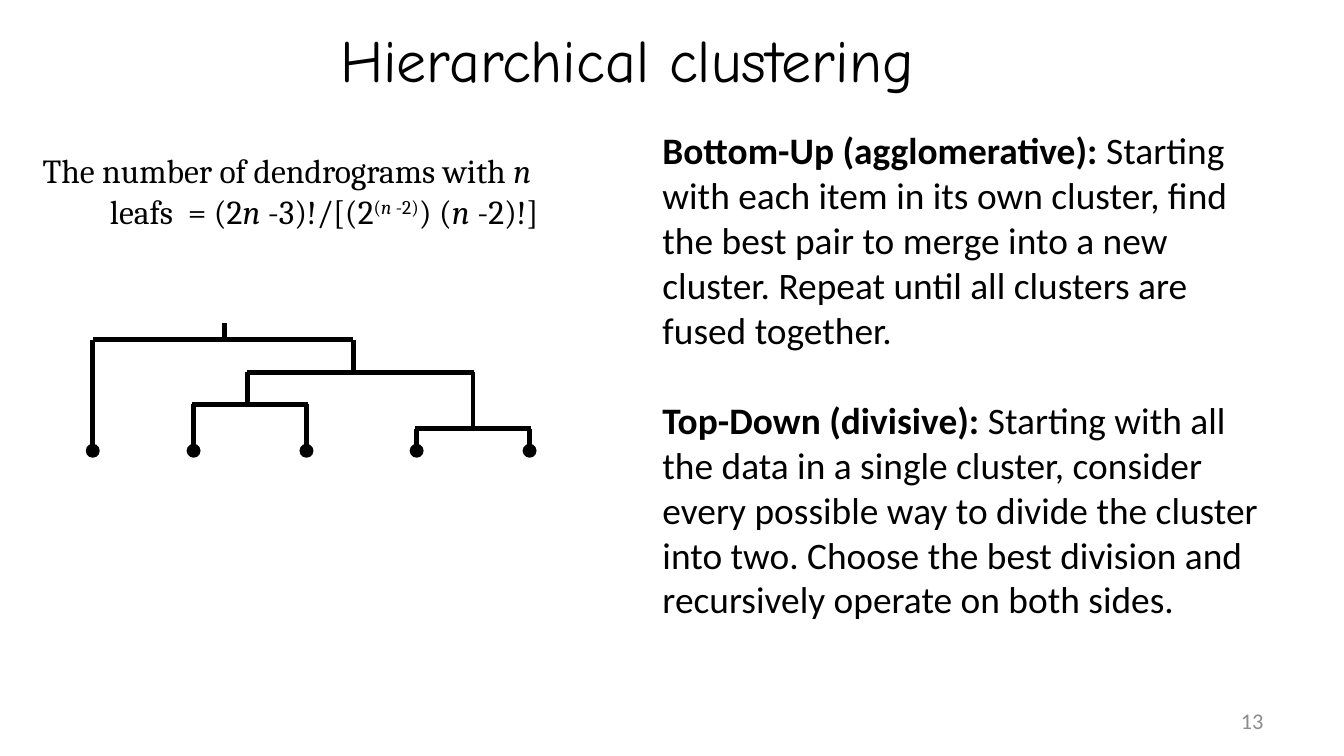
from dataclasses import dataclass

from lxml import etree
from pptx import Presentation
from pptx.dml.color import RGBColor
from pptx.enum.shapes import MSO_CONNECTOR
from pptx.enum.text import MSO_ANCHOR, MSO_AUTO_SIZE, PP_ALIGN
from pptx.oxml.ns import qn
from pptx.util import Pt

STRAIGHT = MSO_CONNECTOR.STRAIGHT
MIDDLE = MSO_ANCHOR.MIDDLE
NO_FIT = MSO_AUTO_SIZE.NONE
CENTER, RIGHT = PP_ALIGN.CENTER, PP_ALIGN.RIGHT
BLACK, GRAY = "000000", "8C8C8C"
LEAF_Y = 241.5


@dataclass
class Merge:
    left: float
    right: float
    y: float
    stem_x: float
    stem_top: float


@dataclass
class Leaf:
    x: float
    top: float


@dataclass
class Span:
    text: str
    bold: bool = False
    italic: bool = False
    raised: bool = False


MERGES = [
    Merge(49.7, 188.9, 182, 120.2, 172.8),
    Merge(132.5, 254.2, 199.5, 189.4, 182),
    Merge(103, 164.9, 216.7, 132.5, 199.5),
    Merge(222.5, 284.4, 229.7, 253.4, 199.5),
]
LEAVES = [
    Leaf(49.7, 182),
    Leaf(103.7, 216.7),
    Leaf(164.2, 216.7),
    Leaf(223.2, 229.7),
    Leaf(283.7, 229.7),
]
FORMULA = [
    Span("The number of dendrograms with "),
    Span("n", italic=True),
    Span(" leafs  = (2"),
    Span("n", italic=True),
    Span(" -3)!/[(2"),
    Span("(", raised=True),
    Span("n ", italic=True, raised=True),
    Span("-2)", raised=True),
    Span(") ("),
    Span("n ", italic=True),
    Span("-2)!]"),
]
METHODS = [
    [
        Span("Bottom-Up (agglomerative):", bold=True),
        Span(" Starting with each item in its own cluster, find the best pair to merge "
             "into a new cluster. Repeat until all clusters are fused together."),
    ],
    [
        Span("Top-Down (divisive):", bold=True),
        Span(" Starting with all the data in a single cluster, consider every possible way "
             "to divide the cluster into two. Choose the best division and recursively "
             "operate on both sides."),
    ],
]


def rgb(color: str) -> RGBColor:
    return RGBColor.from_string(color)


def style(p, font: str, size: float, color: str = BLACK) -> None:
    p.font.name = font
    p.font.size = Pt(size)
    p.font.color.rgb = rgb(color)


def add_spans(p, spans: list[Span]) -> None:
    for span in spans:
        r = p.add_run()
        r.text = span.text
        if span.bold:
            r.font.bold = True
        if span.italic:
            r.font.italic = True
        if span.raised:
            r._r.get_or_add_rPr().set("baseline", "30000")


def add_box(slide, left: float, top: float, width: float, height: float):
    tf = slide.shapes.add_textbox(Pt(left), Pt(top), Pt(width), Pt(height)).text_frame
    tf.word_wrap = True
    return tf


def add_line(slide, x1: float, y1: float, x2: float, y2: float, dot: bool = False) -> None:
    sp = slide.shapes.add_connector(STRAIGHT, Pt(x1), Pt(y1), Pt(x2), Pt(y2))
    sp.line.color.rgb = rgb(BLACK)
    sp.line.width = Pt(2.5)
    if dot:
        etree.SubElement(sp.line._get_or_add_ln(), qn("a:headEnd"), type="oval")
    etree.SubElement(sp._element.spPr, qn("a:effectLst"))


def add_merge(slide, merge: Merge) -> None:
    add_line(slide, merge.left, merge.y, merge.right, merge.y)
    add_line(slide, merge.stem_x, merge.y, merge.stem_x, merge.stem_top)


def main() -> None:
    prs = Presentation()
    prs.slide_width, prs.slide_height = Pt(720), Pt(405)
    slide = prs.slides.add_slide(prs.slide_layouts[5])

    title = slide.shapes.title
    title.left, title.top, title.width, title.height = Pt(48), Pt(4.3), Pt(576), Pt(54)
    tf = title.text_frame
    tf.text = "Hierarchical clustering"
    tf.auto_size = NO_FIT
    tf.vertical_anchor = MIDDLE
    tf.paragraphs[0].alignment = CENTER
    style(tf.paragraphs[0], "Comic Neue", 32)

    for leaf in LEAVES:
        add_line(slide, leaf.x, LEAF_Y, leaf.x, leaf.top, dot=True)
    for merge in MERGES:
        add_merge(slide, merge)

    p = add_box(slide, 15.8, 77, 303, 51).paragraphs[0]
    pPr = p._p.get_or_add_pPr()
    pPr.set("marL", str(Pt(36)))
    pPr.set("indent", str(Pt(-36)))
    add_spans(p, FORMULA)
    style(p, "Cambria", 18)

    tf = add_box(slide, 347.8, 64.8, 334, 322.6)
    for i, spans in enumerate(METHODS):
        p = tf.add_paragraph() if i else tf.paragraphs[0]
        if i:
            p.space_before = Pt(24.4)
        add_spans(p, spans)
        style(p, "Calibri", 20)

    tf = add_box(slide, 516.2, 375.1, 167.8, 21.6)
    tf.vertical_anchor = MIDDLE
    p = tf.paragraphs[0]
    p.text = "13"
    p.alignment = RIGHT
    style(p, "Calibri", 12, GRAY)

    prs.save("out.pptx")


if __name__ == "__main__":
    main()
